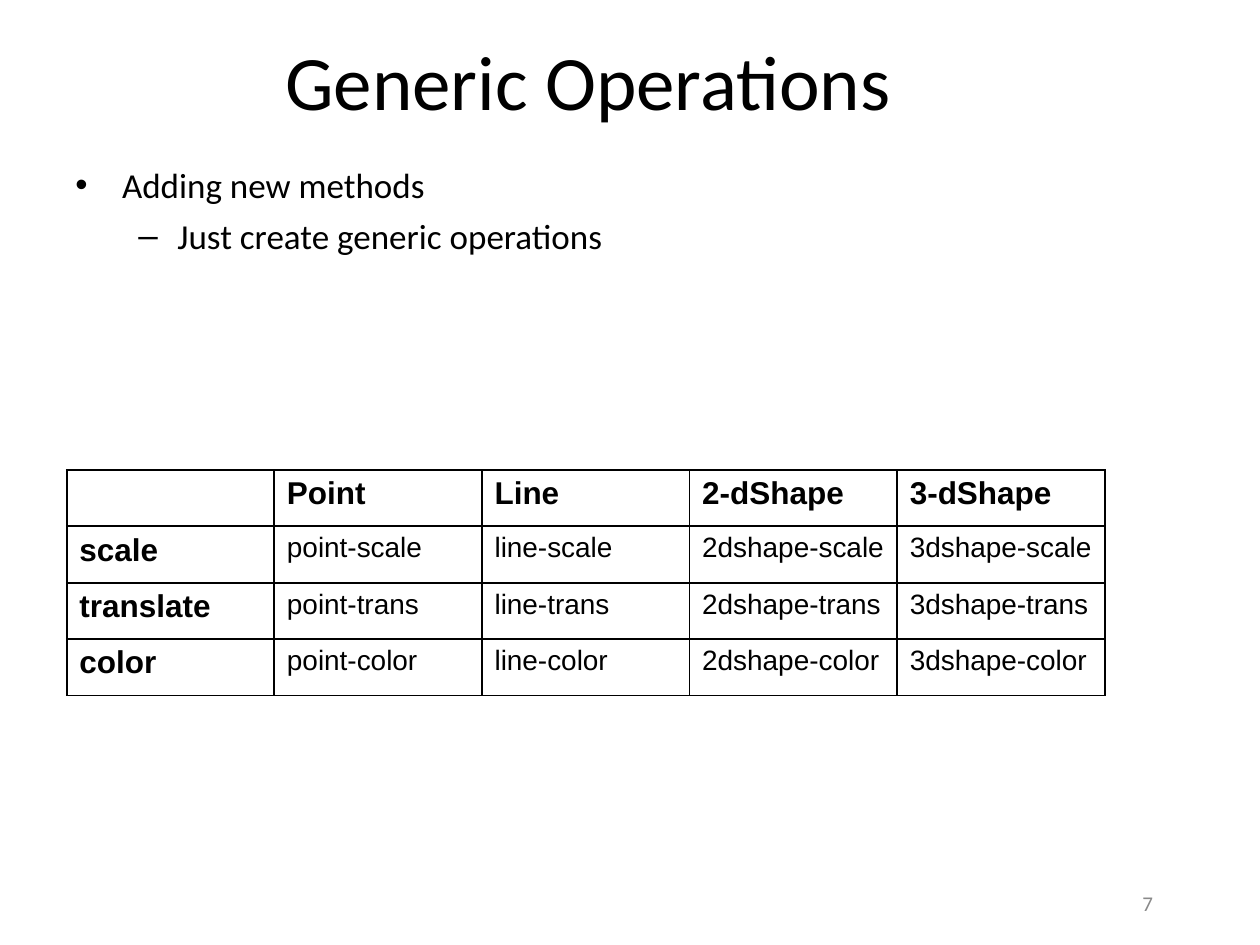
from dataclasses import dataclass

from lxml import etree
from pptx import Presentation
from pptx.dml.color import RGBColor
from pptx.enum.text import MSO_ANCHOR, PP_ALIGN
from pptx.oxml.ns import qn
from pptx.util import Inches, Pt

TOP, MIDDLE = MSO_ANCHOR.TOP, MSO_ANCHOR.MIDDLE
LEFT, CENTER, RIGHT = PP_ALIGN.LEFT, PP_ALIGN.CENTER, PP_ALIGN.RIGHT


@dataclass(frozen=True)
class Theme:
    ink: str = "000000"
    muted: str = "898989"
    heading_font: str = "Calibri"
    table_font: str = "Arial"
    title: int = 44
    body: int = 20
    label: int = 18
    cell: int = 16
    number: int = 12
    border: float = 1.13


theme = Theme()


def style(para, size, font=theme.heading_font, color=theme.ink, bold=False):
    for span in para.runs:
        span.font.size = Pt(size)
        span.font.name = font
        span.font.bold = bold
        span.font.color.rgb = RGBColor.from_string(color)


def add_box(page, left, top, width, height, text, anchor, align):
    box = page.shapes.add_textbox(Inches(left), Inches(top), Inches(width), Inches(height))
    frame = box.text_frame
    frame.word_wrap = True
    frame.vertical_anchor = anchor
    frame.text = text
    for para in frame.paragraphs:
        para.alignment = align
    return frame.paragraphs


deck = Presentation()
deck.slide_width, deck.slide_height = Inches(10), Inches(7.5)
page = deck.slides.add_slide(deck.slide_layouts[6])

number = add_box(page, 6.83, 7, 2.42, 0.33, "7", MIDDLE, RIGHT)
style(number[0], theme.number, color=theme.muted)

title = add_box(page, 0.42, 0.17, 8.5, 0.92, "Generic Operations", MIDDLE, CENTER)
style(title[0], theme.title)

points = add_box(page, 0.5, 1.25, 9.09, 2.23,
                 "Adding new methods\nJust create generic operations", TOP, LEFT)
bullets = [("•", 0.37, 0.37), ("–", 0.81, 0.31)]
for level, (para, (mark, margin, hanging)) in enumerate(zip(points, bullets)):
    para.level = level
    para.space_before = Pt(5 * level)
    properties = para._p.get_or_add_pPr()
    properties.set("marL", str(Inches(margin)))
    properties.set("indent", str(-Inches(hanging)))
    etree.SubElement(properties, qn("a:buFont"), typeface="Arial")
    etree.SubElement(properties, qn("a:buChar"), char=mark)
    style(para, theme.body)

shapes = {"Point": "point", "Line": "line", "2-dShape": "2dshape", "3-dShape": "3dshape"}
operations = {"scale": "scale", "translate": "trans", "color": "color"}
rows = [["", *shapes]]
for operation, suffix in operations.items():
    rows.append([operation, *(f"{prefix}-{suffix}" for prefix in shapes.values())])

table = page.shapes.add_table(len(rows), len(rows[0]), Inches(0.53), Inches(3.73),
                              Inches(8.24), Inches(1.79)).table
for row_index, row in enumerate(rows):
    for column_index, text in enumerate(row):
        cell = table.cell(row_index, column_index)
        cell.text = text
        is_label = row_index == 0 or column_index == 0
        style(cell.text_frame.paragraphs[0], theme.label if is_label else theme.cell,
              theme.table_font, bold=is_label)
        properties = cell._tc.get_or_add_tcPr()
        for side in ("lnL", "lnR", "lnT", "lnB"):
            line = etree.SubElement(properties, qn(f"a:{side}"), w=str(Pt(theme.border)))
            fill = etree.SubElement(line, qn("a:solidFill"))
            etree.SubElement(fill, qn("a:srgbClr"), val=theme.ink)
        cell.fill.background()

deck.save("out.pptx")
